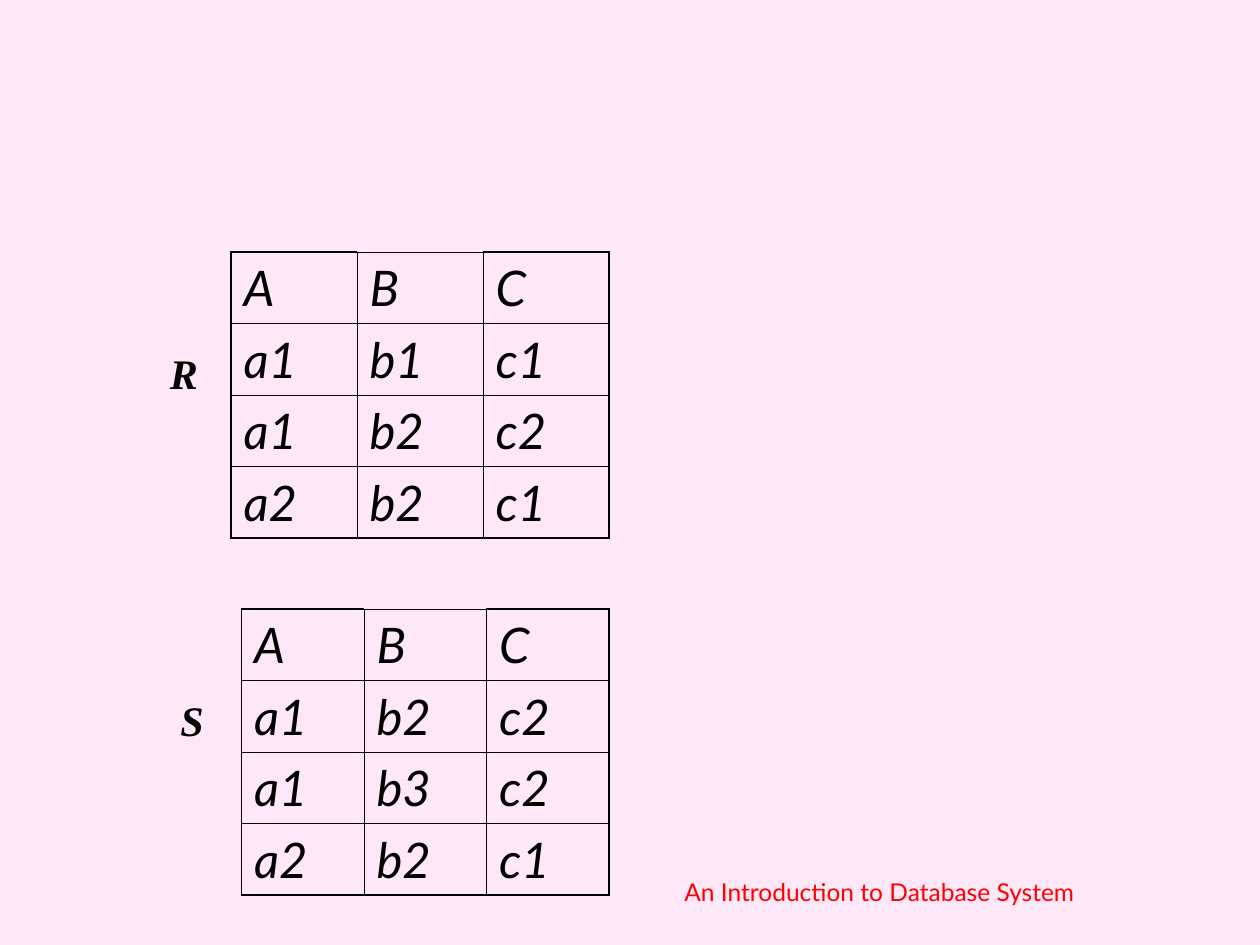
from dataclasses import dataclass
from lxml.etree import SubElement
from pptx import Presentation
from pptx.dml.color import RGBColor
from pptx.enum.text import MSO_ANCHOR as Anchor, PP_ALIGN as Align
from pptx.oxml.ns import qn
from pptx.util import Inches, Pt


@dataclass(frozen=True)
class Theme:
    """Colours, fonts, type sizes and line widths."""
    background: str = "FEE8F7"
    ink: str = "000000"
    accent: str = "FF0000"
    body_font: str = "Lato"
    label_font: str = "Times New Roman"
    cell_size: int = 28
    label_size: int = 24
    footer_size: int = 14
    thin: float = 0.45
    thick: float = 1.08


@dataclass(frozen=True)
class Box:
    """A rectangle on a grid of 120 columns by 90 rows."""
    left: float
    top: float
    width: float
    height: float

    def inside(self, left, top, width, height):
        """Return a box placed relative to this one."""
        return Box(self.left + left, self.top + top, width, height)

    def lengths(self):
        """Return the position and size as slide lengths."""
        return [Inches(units / UNITS_PER_INCH)
                for units in (self.left, self.top, self.width, self.height)]


THEME = Theme()
UNITS_PER_INCH = 12
LABEL_WIDTH, LABEL_HEIGHT, TABLE_OFFSET = 4, 11, 7


def style_font(paragraph, name, size, color, bold=False, italic=False):
    """Format the runs of a paragraph."""
    for run in paragraph.runs:
        run.font.name = name
        run.font.size = Pt(size)
        run.font.color.rgb = RGBColor.from_string(color)
        run.font.bold = bold
        run.font.italic = italic


def add_text(slide, box, text, anchor, wrap, **font):
    """Add a centred single-line text box."""
    text_frame = slide.shapes.add_textbox(*box.lengths()).text_frame
    text_frame.text = text
    text_frame.word_wrap = wrap
    text_frame.vertical_anchor = anchor
    paragraph = text_frame.paragraphs[0]
    paragraph.alignment = Align.CENTER
    style_font(paragraph, **font)


def set_borders(cell, thick_sides):
    """Draw the four sides of a cell, with the named sides thick."""
    properties = cell._tc.get_or_add_tcPr()
    for side in "LRTB":
        width = THEME.thick if side in thick_sides else THEME.thin
        line = SubElement(properties, qn(f"a:ln{side}"), w=str(Pt(width)))
        fill = SubElement(line, qn("a:solidFill"))
        SubElement(fill, qn("a:srgbClr"), val=THEME.ink)


def outer_sides(row, column, last_row, last_column):
    """Name the thick sides of a cell; the top is thick only at the corners."""
    edges = {
        "L": column == 0,
        "R": column == last_column,
        "T": row == 0 and column in (0, last_column),
        "B": row == last_row,
    }
    return [side for side, is_thick in edges.items() if is_thick]


def add_grid(slide, box, rows):
    """Add a table of equal cells that fills the box."""
    row_count, column_count = len(rows), len(rows[0])
    left, top, width, height = box.lengths()
    table = slide.shapes.add_table(
        row_count, column_count, left, top, width, height).table
    table.first_row = table.horz_banding = False
    for column in table.columns:
        column.width = width // column_count
    for row in table.rows:
        row.height = height // row_count
    for row_index, values in enumerate(rows):
        for column_index, value in enumerate(values):
            cell = table.cell(row_index, column_index)
            cell.text_frame.text = value
            style_font(cell.text_frame.paragraphs[0], THEME.body_font,
                       THEME.cell_size, THEME.ink, italic=True)
            set_borders(cell, outer_sides(
                row_index, column_index, row_count - 1, column_count - 1))
            cell.fill.background()


def add_relation(slide, box, name, label_top, rows):
    """Add a relation: its table with its name to the left."""
    add_grid(slide, box.inside(
        TABLE_OFFSET, 0, box.width - TABLE_OFFSET, box.height), rows)
    add_text(slide, box.inside(0, label_top, LABEL_WIDTH, LABEL_HEIGHT), name,
             Anchor.MIDDLE, False, name=THEME.label_font,
             size=THEME.label_size, color=THEME.ink, bold=True, italic=True)


def add_footer(slide, box):
    """Add the course title at the bottom."""
    add_text(slide, box, "An Introduction to Database System",
             Anchor.BOTTOM, True, name=THEME.body_font,
             size=THEME.footer_size, color=THEME.accent)


def main():
    """Build and save the slide."""
    presentation = Presentation()
    presentation.slide_width = Inches(10)
    presentation.slide_height = Inches(7.5)
    slide = presentation.slides.add_slide(presentation.slide_layouts[6])
    background = slide.background.fill
    background.solid()
    background.fore_color.rgb = RGBColor.from_string(THEME.background)

    header = ("A", "B", "C")
    add_footer(slide, Box(52.44, 80.88, 62.64, 6))
    add_relation(slide, Box(15, 24, 43, 27.24), "R", 6, [
        header, ("a1", "b1", "c1"), ("a1", "b2", "c2"), ("a2", "b2", "c1")])
    add_relation(slide, Box(16, 58, 42, 27.24), "S", 5, [
        header, ("a1", "b2", "c2"), ("a1", "b3", "c2"), ("a2", "b2", "c1")])
    presentation.save("out.pptx")


if __name__ == "__main__":
    main()
